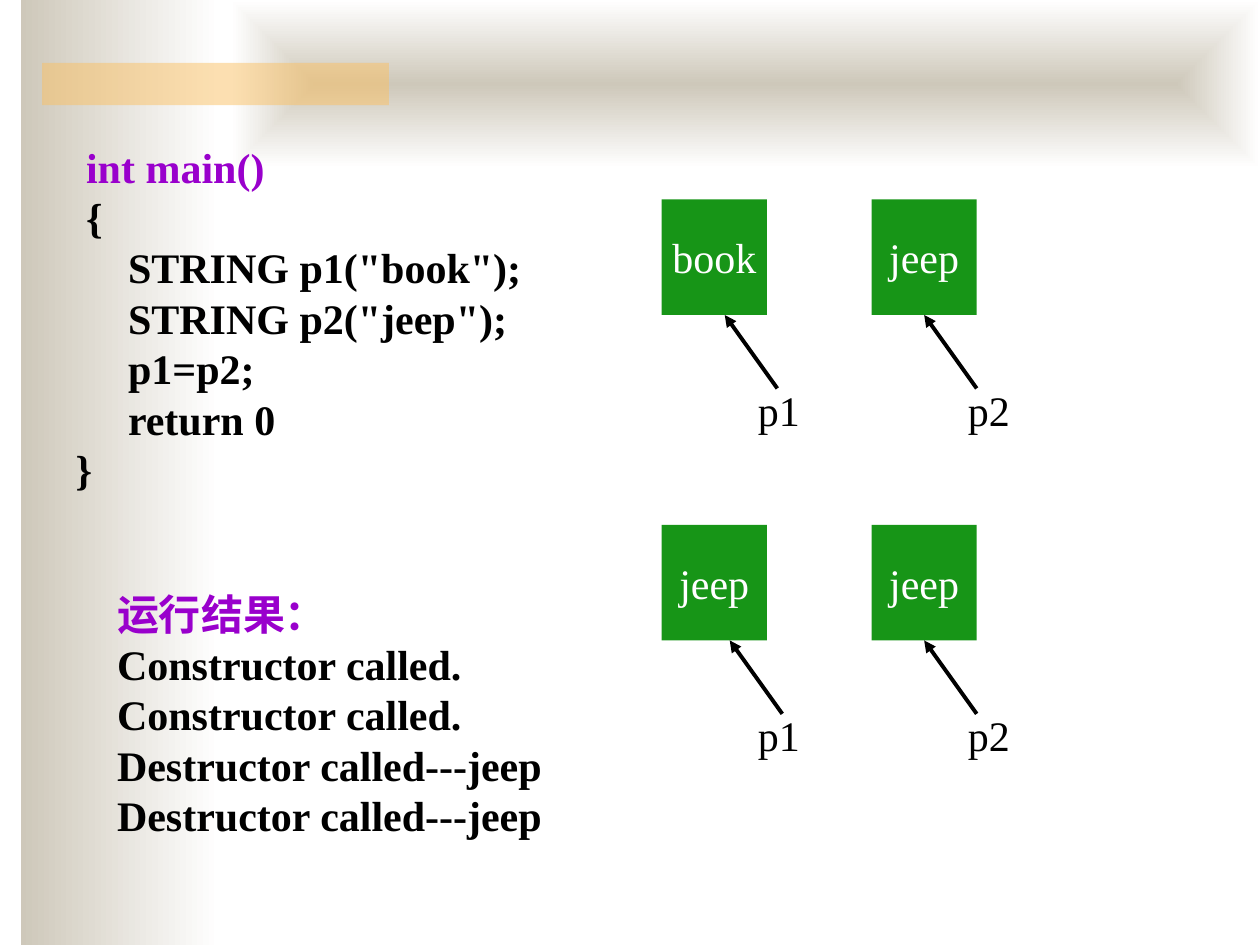
"""Build a slide showing how assigning one string object to another ends in two equal copies."""
from dataclasses import dataclass

from lxml.etree import SubElement
from pptx import Presentation
from pptx.dml.color import RGBColor
from pptx.enum.shapes import MSO_CONNECTOR, MSO_SHAPE
from pptx.enum.text import MSO_ANCHOR, MSO_AUTO_SIZE, PP_ALIGN
from pptx.oxml.ns import qn
from pptx.shapes.autoshape import Shape
from pptx.slide import Slide
from pptx.util import Cm, Pt

BLACK, WHITE, PURPLE = "000000", "FFFFFF", "9900CC"
SAND, AMBER, GREEN = "CEC8BA", "FAC164", "179517"
BOX_WIDTH, BOX_HEIGHT = 2.12, 2.33
BOTTOM_SIDE = 2


@dataclass(frozen=True)
class Area:
    left: float
    top: float
    width: float
    height: float

    def lengths(self) -> tuple:
        return Cm(self.left), Cm(self.top), Cm(self.width), Cm(self.height)


@dataclass(frozen=True)
class Line:
    text: str
    color: str = BLACK
    indent: int = 0


@dataclass(frozen=True)
class StringObject:
    value: str
    pointer: str
    left: float
    top: float
    tip_offset: float = BOX_WIDTH / 2


CODE = [
    Line("int main()", PURPLE, 4),
    Line("{", indent=4),
    Line('STRING p1("book");', indent=8),
    Line('STRING p2("jeep");', indent=8),
    Line("p1=p2;", indent=8),
    Line("return 0", indent=8),
    Line("}", indent=3),
]
RESULT = [
    Line("运行结果：", PURPLE),
    Line("Constructor called."),
    Line("Constructor called."),
    Line("Destructor called---jeep"),
    Line("Destructor called---jeep"),
]
P1_LEFT, P2_LEFT = 13.34, 17.57
BEFORE_TOP, AFTER_TOP = 4.02, 10.58
STRING_OBJECTS = [
    StringObject("book", "p1", P1_LEFT, BEFORE_TOP, 1.27),
    StringObject("jeep", "p2", P2_LEFT, BEFORE_TOP),
    StringObject("jeep", "p1", P1_LEFT, AFTER_TOP, 1.37),
    StringObject("jeep", "p2", P2_LEFT, AFTER_TOP),
]


def rgb(color: str) -> RGBColor:
    return RGBColor.from_string(color)


def add_rectangle(slide: Slide, area: Area) -> Shape:
    rectangle = slide.shapes.add_shape(MSO_SHAPE.RECTANGLE, *area.lengths())
    rectangle.shadow.inherit = False
    rectangle.line.fill.background()
    return rectangle


def add_gradient_band(slide: Slide, area: Area, from_center: bool = False) -> None:
    band = add_rectangle(slide, area)
    band.fill.gradient()
    band.fill.gradient_angle = 0
    for stop, color in zip(band.fill.gradient_stops, (SAND, WHITE)):
        stop.color.rgb = rgb(color)
    if from_center:
        gradient = band.element.spPr.find(qn("a:gradFill"))
        gradient.remove(gradient.find(qn("a:lin")))
        spread = SubElement(gradient, qn("a:path"), {"path": "rect"})
        SubElement(spread, qn("a:fillToRect"), dict.fromkeys("ltrb", "50000"))


def add_accent_bar(slide: Slide, area: Area) -> None:
    bar = add_rectangle(slide, area)
    bar.fill.solid()
    bar.fill.fore_color.rgb = rgb(AMBER)
    color = bar.element.spPr.find(qn("a:solidFill")).find(qn("a:srgbClr"))
    SubElement(color, qn("a:alpha"), {"val": "50000"})


def add_run(paragraph, text: str, color: str, bold: bool = False) -> None:
    run = paragraph.add_run()
    run.text = text
    run.font.name = "Times New Roman"
    run.font.size = Pt(24)
    run.font.bold = bold
    run.font.color.rgb = rgb(color)


def add_text(slide: Slide, area: Area, lines: list[Line], bold: bool = True,
             wrap: bool = True, align: PP_ALIGN = PP_ALIGN.LEFT) -> None:
    frame = slide.shapes.add_textbox(*area.lengths()).text_frame
    frame.word_wrap = wrap
    frame.auto_size = MSO_AUTO_SIZE.SHAPE_TO_FIT_TEXT
    for index, line in enumerate(lines):
        paragraph = frame.add_paragraph() if index else frame.paragraphs[0]
        paragraph.alignment = align
        add_run(paragraph, " " * line.indent + line.text, line.color, bold)


def add_value_box(slide: Slide, item: StringObject) -> Shape:
    box = add_rectangle(slide, Area(item.left, item.top, BOX_WIDTH, BOX_HEIGHT))
    box.fill.solid()
    box.fill.fore_color.rgb = rgb(GREEN)
    frame = box.text_frame
    frame.word_wrap = False
    frame.vertical_anchor = MSO_ANCHOR.MIDDLE
    paragraph = frame.paragraphs[0]
    paragraph.alignment = PP_ALIGN.CENTER
    add_run(paragraph, item.value, WHITE)
    return box


def add_string_object(slide: Slide, item: StringObject) -> None:
    box = add_value_box(slide, item)
    add_text(slide, Area(item.left + 1.69, item.top + 3.6, 1.48, 1.27),
             [Line(item.pointer)], bold=False)
    tip_left, tip_top = item.left + item.tip_offset, item.top + BOX_HEIGHT
    arrow = slide.shapes.add_connector(
        MSO_CONNECTOR.STRAIGHT,
        Cm(tip_left + 1.06), Cm(tip_top + 1.48), Cm(tip_left), Cm(tip_top))
    if item.tip_offset == BOX_WIDTH / 2:
        arrow.end_connect(box, BOTTOM_SIDE)
    arrow.line.color.rgb = rgb(BLACK)
    arrow.line.width = Pt(2.25)
    properties = arrow.element.spPr
    SubElement(properties.find(qn("a:ln")), qn("a:tailEnd"), {"type": "triangle"})
    SubElement(properties, qn("a:effectLst"))


def main() -> None:
    presentation = Presentation()
    presentation.slide_width, presentation.slide_height = Cm(25.4), Cm(19.05)
    slide = presentation.slides.add_slide(presentation.slide_layouts[6])
    add_gradient_band(slide, Area(0.42, 0, 4.02, 19.05))
    add_gradient_band(slide, Area(4.66, 0, 20.74, 3.39), from_center=True)
    add_accent_bar(slide, Area(0.85, 1.27, 6.99, 0.85))
    add_text(slide, Area(0.64, 2.72, 12.85, 8.38), CODE, align=PP_ALIGN.JUSTIFY)
    for item in STRING_OBJECTS:
        add_string_object(slide, item)
    add_text(slide, Area(2.11, 11.73, 9.09, 5.33), RESULT, wrap=False)
    presentation.save("out.pptx")


if __name__ == "__main__":
    main()
